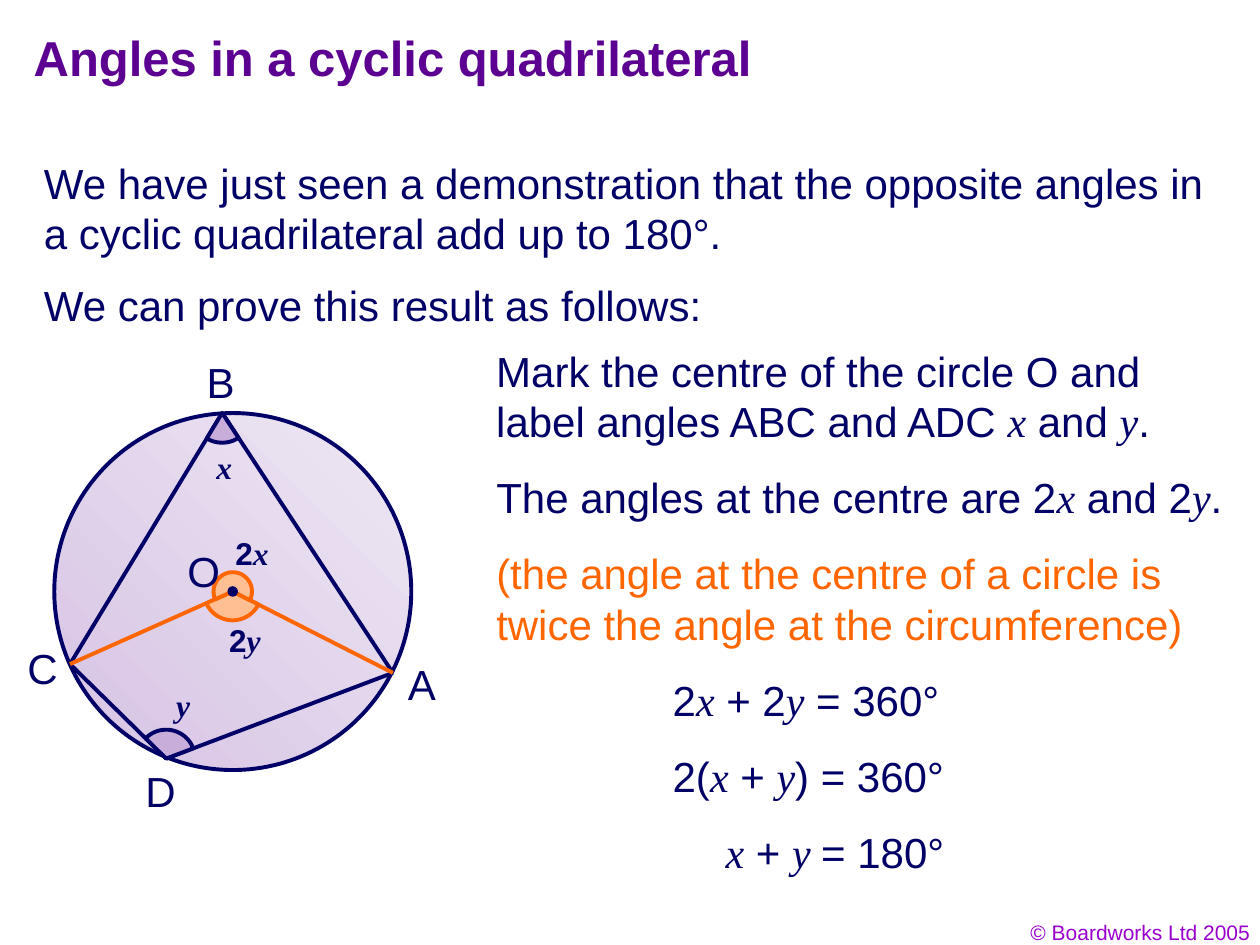
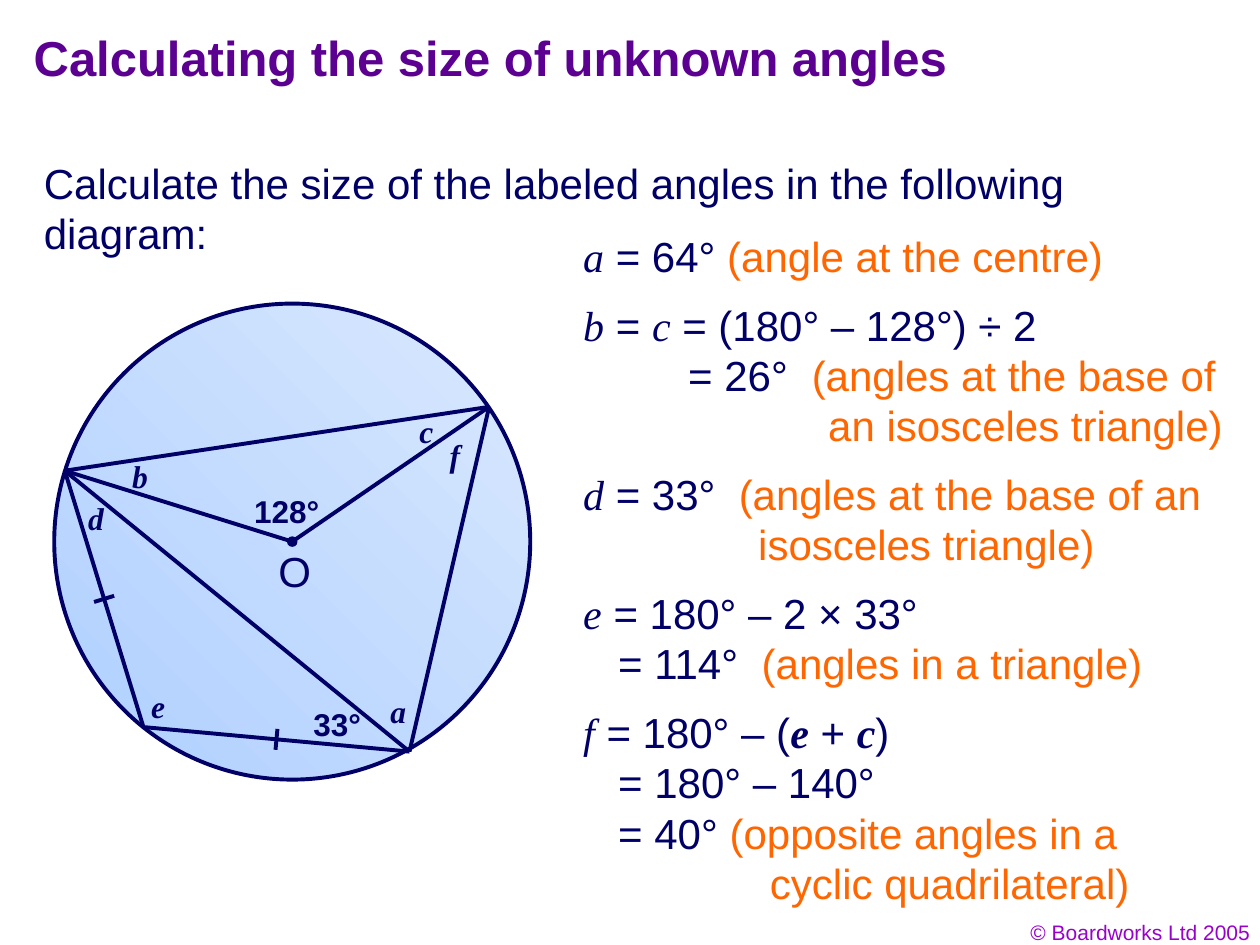
from math import atan2, cos, hypot, sin, tau

from lxml.etree import SubElement
from pptx import Presentation
from pptx.dml.color import RGBColor
from pptx.enum.shapes import MSO_CONNECTOR as Connector, MSO_SHAPE as Shape
from pptx.enum.text import PP_ALIGN as Align
from pptx.oxml.ns import qn
from pptx.util import Pt

COLORS = {
    "title": "5B0091", "footer": "9900CC", "text": "010066", "line": "000066",
    "reason": "FF6600", "centre_angle": "FFBF93", "corner_angle": "C8ADDB",
    "violet_light": "EFE8F4", "violet_dark": "D6C2E4",
    "blue_light": "D9E8FE", "blue_dark": "AFCFFF",
}
SANS, SERIF = "Arial", "Times New Roman"
LEADING = 1.2
INSET_X, INSET_Y = 7.2, 3.6
LINE_WIDTH = 2.25

# Inline marks: variable, bold variable, reason colour
VARIABLE, BOLD_VARIABLE, REASON = "*", "^", "~"
MARKS = (VARIABLE, BOLD_VARIABLE, REASON)


def rgb(name):
    return RGBColor.from_string(COLORS[name])


# Text
def split_runs(marked):
    """Yield (text, active marks) for a line with inline marks."""
    active, text = set(), ""
    for char in marked:
        if char in MARKS:
            if text:
                yield text, set(active)
            active ^= {char}
            text = ""
        else:
            text += char
    if text:
        yield text, active


def add_tab_stops(paragraph, stops):
    tab_list = SubElement(paragraph._p.get_or_add_pPr(), qn("a:tabLst"))
    for stop in stops:
        SubElement(tab_list, qn("a:tab"), pos=str(Pt(stop)), algn="l")


def text_height(line_count, size=24):
    return line_count * size * LEADING + 2 * INSET_Y


def add_text(slide, text, left, top, width, height=None, size=24, color="text",
             bold=False, align=Align.LEFT):
    """text is one line, or a list of (line, *tab stops)."""
    lines = [(text,)] if isinstance(text, str) else text
    height = height or text_height(len(lines), size)
    frame = slide.shapes.add_textbox(Pt(left), Pt(top), Pt(width), Pt(height)).text_frame
    frame.word_wrap = True
    frame.margin_left = frame.margin_right = Pt(INSET_X)
    frame.margin_top = frame.margin_bottom = Pt(INSET_Y)
    for index, (line, *stops) in enumerate(lines):
        paragraph = frame.add_paragraph() if index else frame.paragraphs[0]
        if stops:
            add_tab_stops(paragraph, stops)
        paragraph.alignment = align
        paragraph.line_spacing = Pt(size * LEADING)
        for words, marks in split_runs(line):
            run = paragraph.add_run()
            run.text = words
            font = run.font
            font.size = Pt(size)
            font.italic = bool(marks & {VARIABLE, BOLD_VARIABLE})
            font.name = SERIF if font.italic else SANS
            font.bold = bold or BOLD_VARIABLE in marks
            font.color.rgb = rgb("reason" if REASON in marks else color)


def add_steps(slide, steps, top, gap):
    """Stack working steps: (left, width, line count, text)."""
    for left, width, line_count, text in steps:
        height = text_height(line_count)
        add_text(slide, text, left, top, width, height)
        top += height + gap


# Geometry
class Diagram:
    """A circle diagram whose points are relative to the circle's box."""

    def __init__(self, slide, left, top, diameter, light, dark):
        self.slide, self.left, self.top = slide, left, top
        self.centre = (diameter / 2, diameter / 2)
        circle = self.ellipse(0, 0, diameter)
        circle.fill.gradient()
        circle.fill.gradient_angle = 225
        for stop, position, name in zip(circle.fill.gradient_stops, (0, 1), (light, dark)):
            stop.position = position
            stop.color.rgb = rgb(name)
        self.outline(circle, "line")

    def at(self, point):
        return Pt(self.left + point[0]), Pt(self.top + point[1])

    def outline(self, part, color):
        part.line.color.rgb = rgb(color)
        part.line.width = Pt(LINE_WIDTH)

    def ellipse(self, x, y, diameter):
        ellipse = self.slide.shapes.add_shape(
            Shape.OVAL, *self.at((x, y)), Pt(diameter), Pt(diameter))
        ellipse.shadow.inherit = False
        return ellipse

    def segment(self, start, end, color="line"):
        segment = self.slide.shapes.add_connector(
            Connector.STRAIGHT, *self.at(start), *self.at(end))
        self.outline(segment, color)
        SubElement(segment._element.spPr, qn("a:effectLst"))

    def polyline(self, *points, color="line"):
        for start, end in zip(points, points[1:]):
            self.segment(start, end, color)

    def equal_mark(self, start, end, length=12):
        dx, dy = end[0] - start[0], end[1] - start[1]
        half = length / 2 / hypot(dx, dy)
        x, y = (start[0] + end[0]) / 2, (start[1] + end[1]) / 2
        self.segment((x + dy * half, y - dx * half), (x - dy * half, y + dx * half))

    def angle(self, vertex, start, end, radius, fill, color, steps=30):
        """Fill the sector swept clockwise from start to end."""
        x, y = vertex
        first = atan2(start[1] - y, start[0] - x)
        sweep = (atan2(end[1] - y, end[0] - x) - first) % tau
        turns = [first + sweep * step / steps for step in range(steps + 1)]
        arc = [self.at((x + radius * cos(turn), y + radius * sin(turn))) for turn in turns]
        builder = self.slide.shapes.build_freeform(*self.at(vertex))
        builder.add_line_segments(arc, close=True)
        sector = builder.convert_to_shape()
        sector.shadow.inherit = False
        sector.fill.solid()
        sector.fill.fore_color.rgb = rgb(fill)
        self.outline(sector, color)

    def centre_dot(self, diameter=6):
        dot = self.ellipse(*(c - diameter / 2 for c in self.centre), diameter)
        dot.fill.solid()
        dot.fill.fore_color.rgb = rgb("line")
        dot.line.fill.background()

    def labels(self, labels, **style):
        for text, x, y, width in labels:
            add_text(self.slide, text, self.left + x, self.top + y, width, **style)


def draw_proof_diagram(slide, left, top):
    diagram = Diagram(slide, left, top, 204, "violet_light", "violet_dark")
    o = diagram.centre
    a, b, c, d = (193.5, 148.5), (96, 0), (9, 143.5), (64, 197.5)
    diagram.polyline(a, b, c, d, a)
    diagram.angle(d, c, a, 16.5, "corner_angle", "line")
    diagram.angle(b, a, c, 17, "corner_angle", "line")
    diagram.polyline(c, o, a, color="reason")
    diagram.angle(o, a, c, 16.5, "centre_angle", "reason")
    diagram.angle(o, c, a, 11, "centre_angle", "reason")
    diagram.centre_dot()
    diagram.labels([("A", 195, 137, 32), ("B", 80, -36, 32), ("C", -22.4, 127.4, 33),
                    ("D", 45, 198, 33), ("O", 69, 72, 34)])
    diagram.labels([("*x*", 85.6, 16.5, 24), ("*y*", 62.6, 152.6, 24),
                    ("2*x*", 96.4, 65.5, 34), ("2*y*", 92.8, 115.2, 34)],
                   size=18, bold=True)


def draw_unknowns_diagram(slide, left, top):
    diagram = Diagram(slide, left, top, 272, "blue_light", "blue_dark")
    o = diagram.centre
    upper_left, upper_right = (6, 95.5), (248.5, 59)
    lower_left, lower_right = (51, 242), (203, 256)
    diagram.polyline(lower_left, upper_left, upper_right, lower_right, lower_left)
    diagram.segment(upper_left, lower_right)
    diagram.polyline(upper_left, o, upper_right)
    diagram.equal_mark(upper_left, lower_left)
    diagram.equal_mark(lower_left, lower_right)
    diagram.centre_dot()
    diagram.labels([("O", 121, 134.7, 34)])
    diagram.labels([("*a*", 185, 218.2, 24), ("*b*", 37.4, 84.3, 24),
                    ("*c*", 201.6, 58.3, 24), ("*d*", 12.2, 108, 24),
                    ("*e*", 48.2, 215.3, 24), ("*f*", 218.8, 72, 24),
                    ("128°", 107.2, 104.4, 52), ("33°", 141, 226, 42)],
                   size=18, bold=True)


# Slides
def add_lesson_slide(deck, title, intro):
    slide = deck.slides.add_slide(deck.slide_layouts[6])
    add_text(slide, "© Boardworks Ltd 2005", 553.7, 522, 167.8, size=12,
             color="footer", align=Align.RIGHT)
    add_text(slide, title, 12.2, 12.2, 612, 48, size=28, color="title", bold=True)
    add_text(slide, intro, 18, 86.4, 687.6, text_height(2))
    return slide


def build_proof_slide(deck):
    slide = add_lesson_slide(
        deck, "Angles in a cyclic quadrilateral",
        "We have just seen a demonstration that the opposite angles in "
        "a cyclic quadrilateral add up to 180°.")
    add_text(slide, "We can prove this result as follows:", 18, 156.2, 687.6)
    draw_proof_diagram(slide, 31, 236)
    reasoning, equation = 276.5, 377.3
    add_steps(slide, [
        (reasoning, 421, 2, "Mark the centre of the circle O and "
                            "label angles ABC and ADC *x* and *y*."),
        (reasoning, 436, 1, "The angles at the centre are 2*x* and 2*y*."),
        (reasoning, 408, 2, "~(the angle at the centre of a circle is "
                            "twice the angle at the circumference)~"),
        (equation, 170, 1, "2*x* + 2*y* = 360°"),
        (equation, 170, 1, "2(*x* + *y*) = 360°"),
        (equation + 30.2, 140, 1, "*x* + *y *= 180°"),
    ], top=193.7, gap=7.5)


def build_unknowns_slide(deck):
    slide = add_lesson_slide(
        deck, "Calculating the size of unknown angles",
        "Calculate the size of the labeled angles in the following diagram:")
    draw_unknowns_diagram(slide, 31, 173.5)
    answers = [
        [("*a* = 64° ~(angle at the centre)",)],
        [("*b* = *c* = (180° – 128°) ÷ 2",),
         ("\t= 26°\t~(angles at the base of", 60, 130.6),
         ("\t~an isosceles triangle)", 140)],
        [("*d* = 33°\t~(angles at the base of an", 88.9),
         ("\t~isosceles triangle)", 100)],
        [("*e* = 180° – 2 × 33°",),
         ("\t= 114°\t~(angles in a triangle)", 20, 102)],
        [("*f* = 180° – (^e^ + ^c^)",),
         ("\t= 180° – 140°", 20),
         ("\t= 40° ~(opposite angles in a", 20),
         ("\t~cyclic quadrilateral)", 106.7)],
    ]
    add_steps(slide, [(326.2, 385, len(lines), lines) for lines in answers],
              top=128.2, gap=3.2)


def main():
    deck = Presentation()
    deck.slide_width, deck.slide_height = Pt(720), Pt(540)
    build_proof_slide(deck)
    build_unknowns_slide(deck)
    deck.save("out.pptx")


if __name__ == "__main__":
    main()
